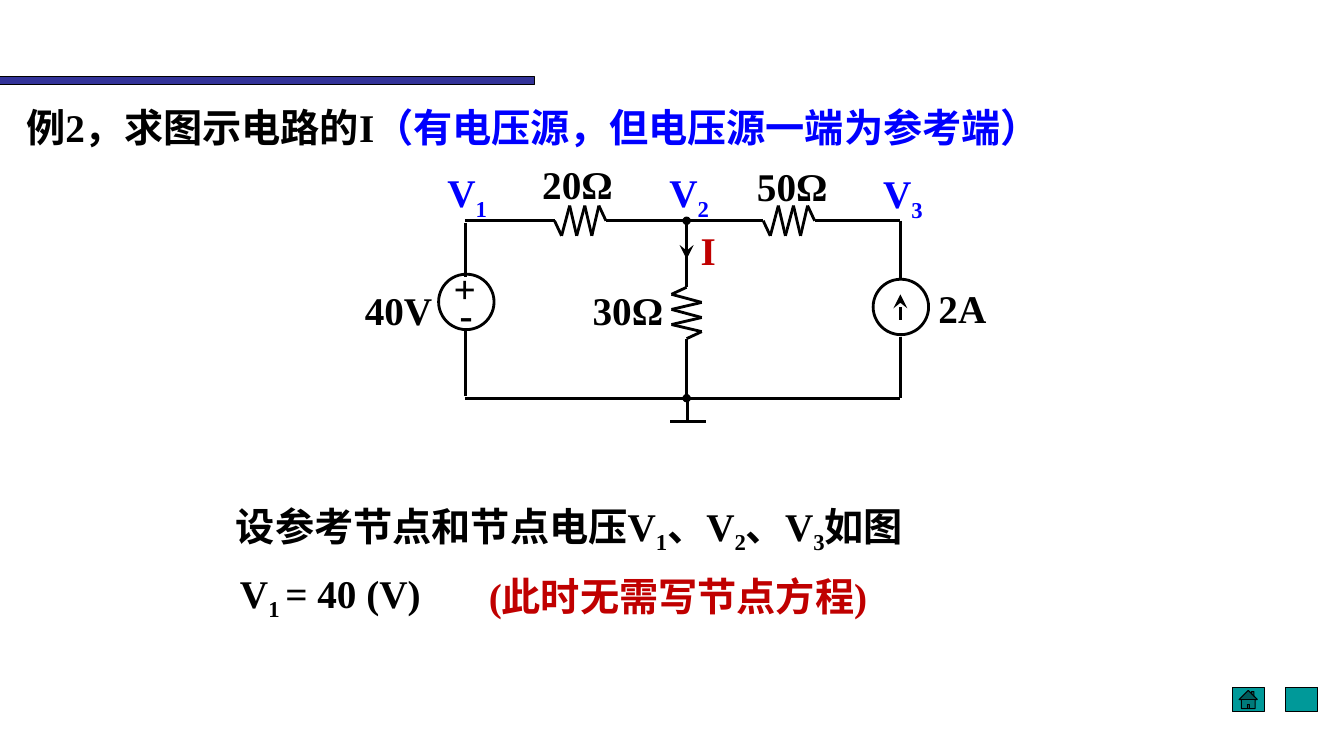
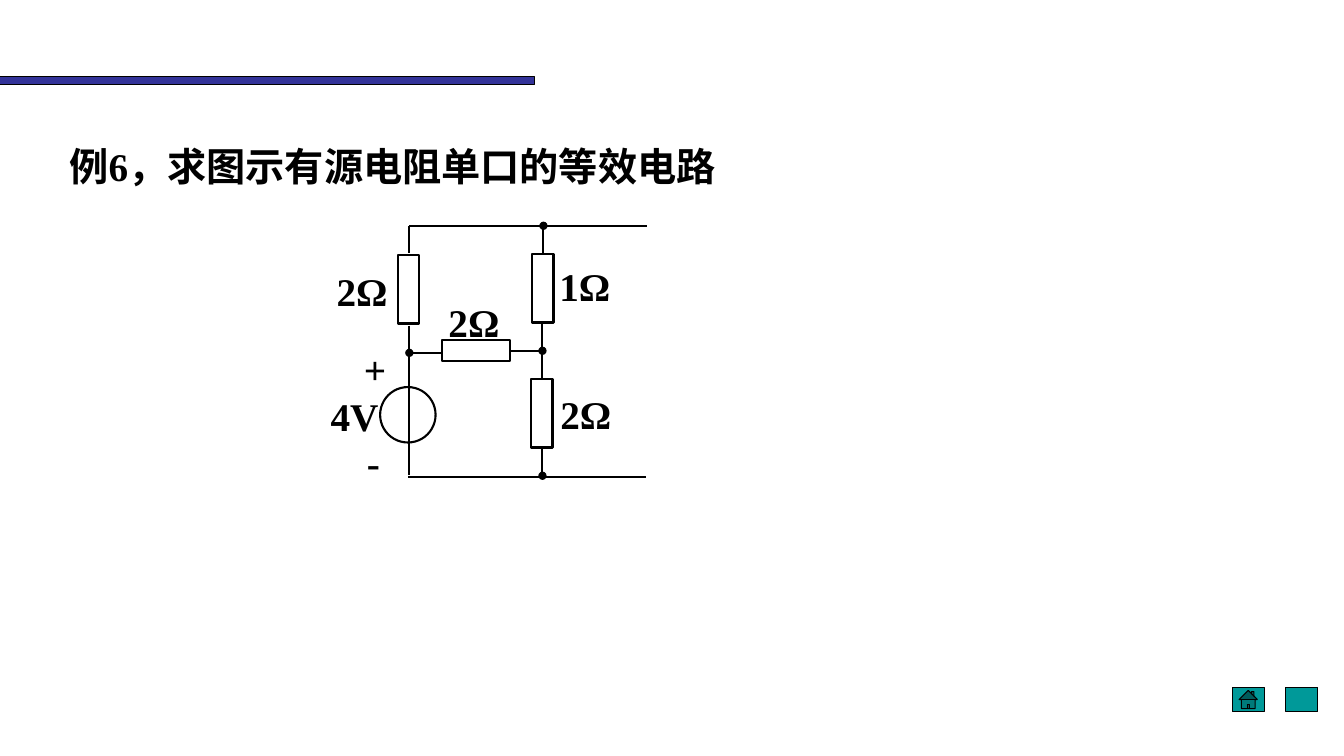
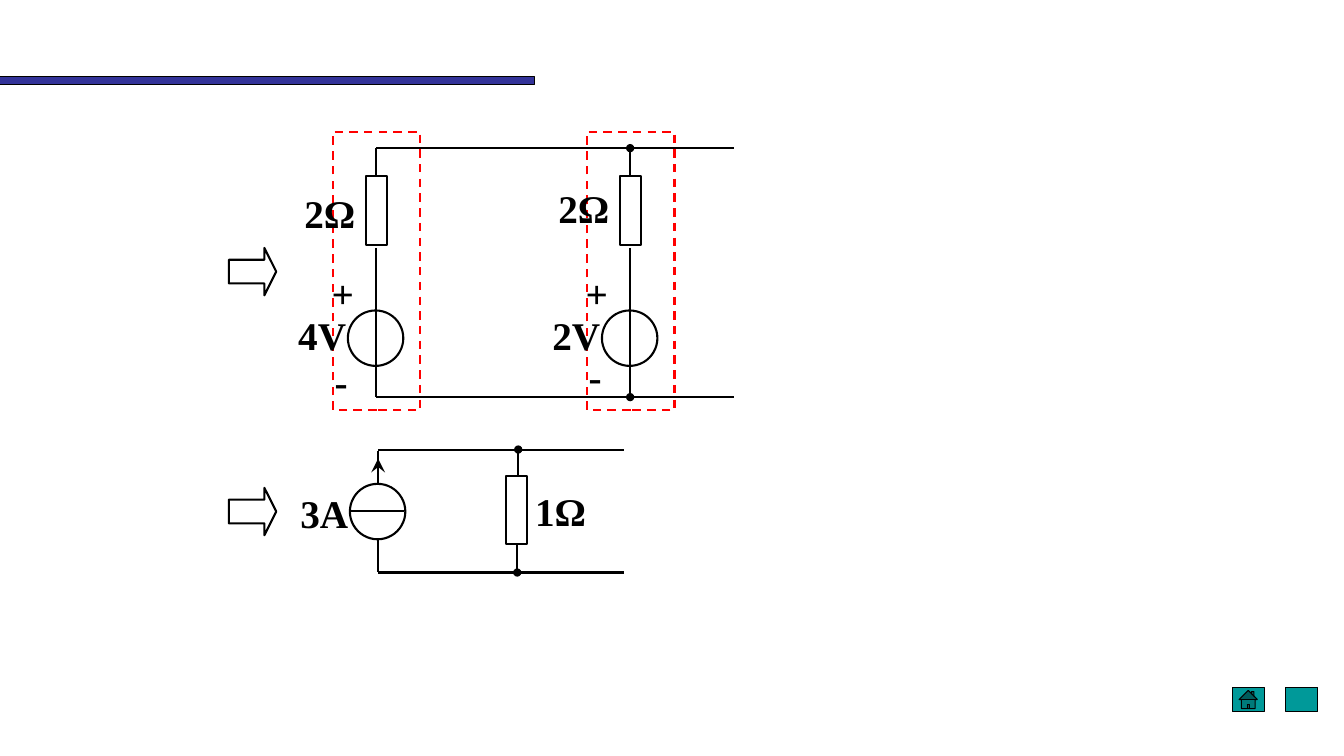
from dataclasses import dataclass
from typing import Any

from lxml import etree
from pptx import Presentation
from pptx.dml.color import RGBColor
from pptx.enum.dml import MSO_LINE
from pptx.enum.shapes import MSO_CONNECTOR, MSO_SHAPE
from pptx.enum.text import MSO_ANCHOR, MSO_AUTO_SIZE, PP_ALIGN
from pptx.oxml.ns import qn
from pptx.util import Pt

PX = 9144
BLACK = RGBColor(0x00, 0x00, 0x00)
NAVY = RGBColor(0x33, 0x33, 0x99)
TEAL = RGBColor(0x00, 0x99, 0x99)
BLUE = RGBColor(0x00, 0x00, 0xFF)
CRIMSON = RGBColor(0xC0, 0x00, 0x00)
RED = RGBColor(0xFF, 0x00, 0x00)

LATIN_FONT = "Times New Roman"
CHINESE_FONT = "Noto Sans CJK SC"
TEXT_SIZE = Pt(28)

RECTANGLE = MSO_SHAPE.RECTANGLE
ELLIPSE = MSO_SHAPE.OVAL
RIGHT_ARROW = MSO_SHAPE.RIGHT_ARROW
HOME_BUTTON = MSO_SHAPE.ACTION_BUTTON_HOME
BLANK_BUTTON = MSO_SHAPE.ACTION_BUTTON_CUSTOM
STRAIGHT = MSO_CONNECTOR.STRAIGHT
DASH = MSO_LINE.DASH
TOP = MSO_ANCHOR.TOP
LEFT = PP_ALIGN.LEFT
NO_AUTOFIT = MSO_AUTO_SIZE.NONE

CONTENT_LAYOUT, TITLE_LAYOUT, BLANK_LAYOUT = 1, 5, 6
ZIGZAG = [(-49, 0), (-26, 0), (-19, 15), (-11, -15), (-4, 15), (4, -15),
          (11, 15), (18, -15), (25, 0), (48, 0)]
SOURCE_SIZE = 55
RESISTOR_WIDTH, RESISTOR_LENGTH = 21, 68


@dataclass
class Run:
    text: str
    color: Any = None
    subscript: bool = False
    font: Any = None


def add_shape(shapes, kind, left, top, width, height,
              fill=None, line=BLACK, weight=0.75):
    shape = shapes.add_shape(kind, left * PX, top * PX, width * PX, height * PX)
    shape.shadow.inherit = False
    if fill is None:
        shape.fill.background()
    else:
        shape.fill.solid()
        shape.fill.fore_color.rgb = fill
    shape.line.color.rgb = line
    shape.line.width = Pt(weight)
    return shape


def write_paragraph(paragraph, runs, color=BLACK):
    paragraph.alignment = LEFT
    font = paragraph.font
    font.name = LATIN_FONT
    font.size = TEXT_SIZE
    font.bold = True
    font.color.rgb = color
    defaults = paragraph._p.pPr.find(qn("a:defRPr"))
    etree.SubElement(defaults, qn("a:ea")).set("typeface", CHINESE_FONT)
    for item in runs:
        run = paragraph.add_run()
        run.text = item.text
        if item.color is not None:
            run.font.color.rgb = item.color
        if item.font:
            run.font.name = item.font
        if item.subscript:
            run._r.get_or_add_rPr().set("baseline", "-25000")


def add_label(shapes, left, top, runs, color=BLACK, width=100):
    box = shapes.add_textbox(left * PX, top * PX, width * PX, 57 * PX)
    box.text_frame.word_wrap = True
    write_paragraph(box.text_frame.paragraphs[0], runs, color)


def place_placeholder(placeholder, left, top, width, height):
    placeholder.left, placeholder.top = left * PX, top * PX
    placeholder.width, placeholder.height = width * PX, height * PX
    frame = placeholder.text_frame
    frame.auto_size = NO_AUTOFIT
    frame.word_wrap = True
    frame.vertical_anchor = TOP
    frame.margin_left = frame.margin_right = 0
    frame.margin_top = frame.margin_bottom = 0
    return frame


def add_title(slide, left, top, width, height, runs):
    frame = place_placeholder(slide.shapes.title, left, top, width, height)
    write_paragraph(frame.paragraphs[0], runs)


def add_statements(slide, left, top, width, height, statements):
    frame = place_placeholder(slide.placeholders[1], left, top, width, height)
    for index, runs in enumerate(statements):
        paragraph = frame.add_paragraph() if index else frame.paragraphs[0]
        properties = paragraph._p.get_or_add_pPr()
        properties.set("marL", str(4 * index * PX))
        properties.set("indent", "0")
        etree.SubElement(properties, qn("a:buNone"))
        paragraph.space_before = Pt(9.5 if index else 0)
        write_paragraph(paragraph, runs)


@dataclass
class Circuit:
    shapes: Any
    left: int
    top: int
    weight: float = 1.5

    def wire(self, x1, y1, x2, y2, head=None, tail=None):
        connector = self.shapes.add_connector(
            STRAIGHT, (self.left + x1) * PX, (self.top + y1) * PX,
            (self.left + x2) * PX, (self.top + y2) * PX)
        connector.line.color.rgb = BLACK
        connector.line.width = Pt(self.weight)
        properties = connector.element.spPr
        outline = properties.find(qn("a:ln"))
        for tag, kind in (("a:headEnd", head), ("a:tailEnd", tail)):
            if kind:
                end = etree.SubElement(outline, qn(tag))
                size = "lg" if kind == "stealth" else "med"
                for name, value in (("type", kind), ("w", size), ("len", size)):
                    end.set(name, value)
        etree.SubElement(properties, qn("a:effectLst"))

    def outline(self, kind, x, y, width, height, line=BLACK):
        return add_shape(self.shapes, kind, self.left + x, self.top + y,
                         width, height, line=line, weight=self.weight)

    def circle(self, x, y):
        self.outline(ELLIPSE, x, y, SOURCE_SIZE, SOURCE_SIZE)

    def resistor(self, x, y):
        self.outline(RECTANGLE, x, y, RESISTOR_WIDTH, RESISTOR_LENGTH)

    def zigzag(self, x, y, vertical=False):
        points = ZIGZAG
        if vertical:
            points = [(-across, along) for along, across in points]
        for (x1, y1), (x2, y2) in zip(points, points[1:]):
            self.wire(x + x1, y + y1, x + x2, y + y2)

    def label(self, x, y, text, color=BLACK, subscript=None):
        runs = [Run(text)]
        if subscript:
            runs.append(Run(subscript, subscript=True))
        add_label(self.shapes, self.left + x, self.top + y, runs, color)

    def voltage_source(self, x, y, text, minus_drop, text_lift=4):
        self.circle(x, y)
        self.label(x - 26, y - 46, "+")
        self.label(x - 23, y + minus_drop, "-")
        self.label(x - 59, y - text_lift, text)


def add_node_circuit(slide, left, top):
    circuit = Circuit(slide.shapes, left, top, 2)
    for start, end in ((0, 71), (150, 283), (361, 432)):
        circuit.wire(start, 0, end, 0)
    circuit.wire(0, 176, 432, 176)
    circuit.zigzag(115, 0)
    circuit.zigzag(322, 0)
    circuit.zigzag(220, 92, vertical=True)
    circuit.wire(220, 0, 220, 46, head="oval")
    circuit.wire(220, 122, 220, 176, tail="oval")
    circuit.wire(220, 13, 220, 38, tail="stealth")
    circuit.wire(221, 176, 221, 199)
    circuit.wire(204, 199, 239, 199)
    circuit.wire(1, 2, 1, 56)
    circuit.wire(1, 107, 1, 174)
    circuit.circle(-26, 53)
    circuit.label(-21, 38, "+")
    circuit.label(-15, 64, "-")
    circuit.wire(432, 0, 432, 58)
    circuit.wire(432, 115, 432, 176)
    circuit.circle(405, 58)
    circuit.wire(432, 98, 432, 73, tail="stealth")
    for x, y, text in ((460, 58, "2A"), (67, -65, "20Ω"), (117, 60, "30Ω"),
                       (280, -63, "50Ω"), (-109, 60, "40V")):
        circuit.label(x, y, text)
    circuit.label(224, 1, "I", CRIMSON)
    for x, y, number in ((-27, -57, "1"), (193, -57, "2"), (405, -56, "3")):
        circuit.label(x, y, "V", BLUE, number)


def add_bridge_circuit(slide, left, top):
    circuit = Circuit(slide.shapes, left, top)
    circuit.wire(0, 0, 236, 0)
    circuit.wire(-1, 249, 235, 249)
    circuit.wire(0, 0, 0, 27)
    circuit.wire(0, 99, 0, 247)
    circuit.resistor(-11, 29)
    circuit.wire(133, 0, 133, 28, head="oval")
    circuit.resistor(122, 28)
    circuit.wire(132, 96, 132, 151)
    circuit.resistor(121, 152)
    circuit.wire(132, 220, 132, 248, tail="oval")
    circuit.wire(0, 126, 31, 126, head="oval")
    circuit.outline(RECTANGLE, 32, 113, RESISTOR_LENGTH, RESISTOR_WIDTH)
    circuit.wire(101, 124, 132, 124, tail="oval")
    circuit.voltage_source(-29, 160, "4V", 46, text_lift=0)
    for x, y, text in ((-82, 36, "2Ω"), (140, 158, "2Ω"),
                       (29, 67, "2Ω"), (139, 31, "1Ω")):
        circuit.label(x, y, text)


def add_series_branch(slide, left, top, voltage, label_drop, dot=None):
    branch = Circuit(slide.shapes, left, top)
    branch.outline(RECTANGLE, 0, 0, 87, 276, RED).line.dash_style = DASH
    branch.wire(43, 16, 43, 43, head=dot)
    branch.resistor(33, 44)
    branch.wire(43, 115, 43, 263, tail=dot)
    branch.label(-38, 47 + label_drop, "2Ω")
    branch.voltage_source(15, 177, voltage, 37 + label_drop)


def add_norton_circuit(slide, left, top):
    circuit = Circuit(slide.shapes, left, top)
    circuit.wire(0, 0, 244, 0)
    circuit.wire(0, 122, 244, 122)
    circuit.wire(0, 1, 0, 33)
    circuit.wire(0, 33, 0, 9, tail="stealth")
    circuit.circle(-28, 34)
    circuit.wire(-28, 61, 26, 61)
    circuit.wire(0, 89, 0, 121)
    circuit.label(-87, 35, "3A")
    circuit.wire(139, 0, 139, 27, head="oval")
    circuit.resistor(127, 26)
    circuit.wire(138, 94, 138, 122, tail="oval")
    circuit.label(146, 33, "1Ω")


def add_step_arrow(slide, left, top):
    arrow = add_shape(slide.shapes, RIGHT_ARROW, left, top, 47, 47, weight=1.5)
    arrow.adjustments[0], arrow.adjustments[1] = 0.5, 0.25


def build_master(presentation, slide):
    master_tree = presentation.slide_master.shapes.element
    parts = ((RECTANGLE, 0, 76, 530, 8, NAVY),
             (HOME_BUTTON, 1222, 682, 32, 24, TEAL),
             (BLANK_BUTTON, 1275, 682, 32, 24, TEAL))
    for number, part in enumerate(parts, start=100):
        shape = add_shape(slide.shapes, *part)
        shape.element.nvSpPr.cNvPr.set("id", str(number))
        master_tree.append(shape.element)


def build_node_slide(slide):
    add_title(slide, 26, 102, 1144, 94, [
        Run("例2，求图示电路的I"),
        Run("（有电压源，但电压源一端为参考端）", BLUE, font=CHINESE_FONT)])
    add_statements(slide, 234, 498, 806, 130, [
        [Run("设参考节点和节点电压V"), Run("1", subscript=True),
         Run("、V"), Run("2", subscript=True),
         Run("、V"), Run("3", subscript=True), Run("如图")],
        [Run("V"), Run("1 ", subscript=True), Run("= 40 (V)")]])
    add_label(slide.shapes, 475, 563, [Run("(此时无需写节点方程)")],
              CRIMSON, width=450)
    add_node_circuit(slide, 461, 219)


def build_bridge_slide(slide):
    add_title(slide, 69, 141, 689, 47, [Run("例6，求图示有源电阻单口的等效电路")])
    add_bridge_circuit(slide, 406, 224)


def build_equivalent_slide(slide):
    rails = Circuit(slide.shapes, 373, 147)
    rails.wire(0, 0, 355, 0)
    rails.wire(0, 247, 355, 247)
    add_series_branch(slide, 330, 131, "4V", 5)
    add_series_branch(slide, 582, 131, "2V", 0, dot="oval")
    add_norton_circuit(slide, 375, 446)
    for top in (246, 484):
        add_step_arrow(slide, 227, top)


def main():
    presentation = Presentation()
    presentation.slide_width = 1333 * PX
    presentation.slide_height = 750 * PX
    pages = ((CONTENT_LAYOUT, build_node_slide),
             (TITLE_LAYOUT, build_bridge_slide),
             (BLANK_LAYOUT, build_equivalent_slide))
    for index, (layout, build) in enumerate(pages):
        slide = presentation.slides.add_slide(presentation.slide_layouts[layout])
        if index == 0:
            build_master(presentation, slide)
        build(slide)
    presentation.save("out.pptx")


if __name__ == "__main__":
    main()
